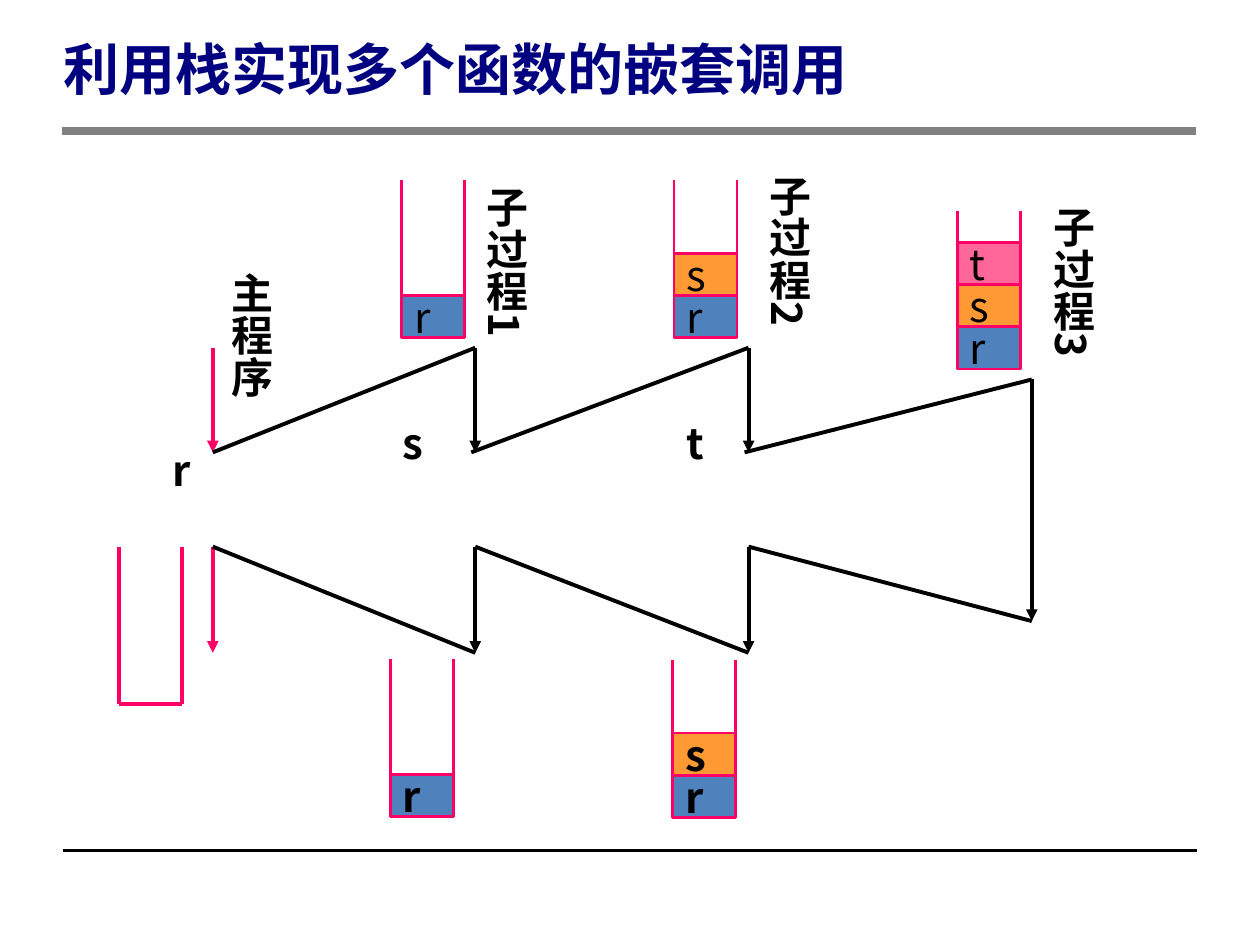
"""Build a slide on nested function calls and the stack of return addresses."""
from lxml import etree
from pptx import Presentation
from pptx.dml.color import RGBColor
from pptx.enum.shapes import MSO_CONNECTOR, MSO_SHAPE
from pptx.enum.text import MSO_ANCHOR, MSO_AUTO_SIZE, PP_ALIGN
from pptx.oxml.ns import qn
from pptx.util import Cm, Pt

STRAIGHT = MSO_CONNECTOR.STRAIGHT
RECTANGLE = MSO_SHAPE.RECTANGLE
MIDDLE, TOP = MSO_ANCHOR.MIDDLE, MSO_ANCHOR.TOP
LEFT = PP_ALIGN.LEFT
FIXED = MSO_AUTO_SIZE.NONE

FONT = "Noto Sans CJK SC"
COLORS = {
    "title": "000080", "ink": "000000", "rule": "808080", "stack": "FF0066",
    "r": "4F81BD", "s": "FF9933", "t": "FF6699",
}


def write(shape, text, color="ink", size=24, bold=True, anchor=TOP, wrap=True, vertical=False):
    frame = shape.text_frame
    frame_format = {
        "auto_size": FIXED, "word_wrap": wrap, "vertical_anchor": anchor,
        "margin_left": Cm(0.25), "margin_right": Cm(0.25),
        "margin_top": Cm(0.13), "margin_bottom": Cm(0.13),
    }
    for name, value in frame_format.items():
        setattr(frame, name, value)
    if vertical:
        frame._txBody.bodyPr.set("vert", "eaVert")
    paragraph = frame.paragraphs[0]
    paragraph.alignment = LEFT
    run = paragraph.add_run()
    run.text = text
    for name, value in {"name": FONT, "size": Pt(size), "bold": bold}.items():
        setattr(run.font, name, value)
    run.font.color.rgb = RGBColor.from_string(COLORS[color])
    etree.SubElement(run._r.get_or_add_rPr(), qn("a:ea"), typeface=FONT)


def draw_line(start, end, color="ink", width=2.25, arrow=False):
    line = slide.shapes.add_connector(STRAIGHT, *map(Cm, start + end))
    line.line.color.rgb = RGBColor.from_string(COLORS[color])
    line.line.width = Pt(width)
    properties = line._element.spPr
    if arrow:
        etree.SubElement(properties.find(qn("a:ln")), qn("a:tailEnd"), type="triangle")
    etree.SubElement(properties, qn("a:effectLst"))


presentation = Presentation()
presentation.slide_width, presentation.slide_height = Cm(25.4), Cm(19.05)
slide = presentation.slides.add_slide(presentation.slide_layouts[5])

title = slide.shapes.title
title_place = {"left": Cm(1.02), "top": Cm(0.51), "width": Cm(16.69), "height": Cm(1.68)}
for name, value in title_place.items():
    setattr(title, name, value)
write(title, "利用栈实现多个函数的嵌套调用", "title", 32, anchor=MIDDLE)
title.text_frame.paragraphs[0].line_spacing = Pt(40)

draw_line((1.27, 17.15), (24.13, 17.15), width=2)
draw_line((1.24, 2.64), (24.1, 2.64), "rule", 5)

main_x, sub1_x, sub2_x, sub3_x = 4.29, 9.58, 15.09, 20.8
call_top, call_bottom, return_top, return_bottom = 7.01, 9.12, 11.02, 13.16
deep_top, deep_bottom = 7.65, 12.52

for x, color in ((main_x, "stack"), (sub1_x, "ink"), (sub2_x, "ink")):
    draw_line((x, call_top), (x, call_bottom), color, arrow=True)
    draw_line((x, return_top), (x, return_bottom), color, arrow=True)
draw_line((sub3_x, deep_top), (sub3_x, deep_bottom), arrow=True)

jumps = [
    (main_x, main_x, sub1_x, call_top, return_bottom),
    (9.5, sub1_x, sub2_x, call_top, return_bottom),
    (15.01, sub2_x, sub3_x, deep_top, deep_bottom),
]
for call_x, return_x, callee_x, entry_y, exit_y in jumps:
    draw_line((call_x, call_bottom), (callee_x, entry_y))
    draw_line((callee_x, exit_y), (return_x, return_top))

stack_width, stack_depth, cell_height = 1.27, 3.18, 0.85
stacks = [
    (2.39, 14.2, "", 2.25, False),
    (8.1, 6.81, "r", 1.5, False),
    (13.59, 6.81, "rs", 1.5, False),
    (19.3, 7.44, "rst", 1.5, False),
    (13.56, 16.48, "rs", 1.5, True),
    (7.87, 16.46, "r", 1.5, True),
]
for left, bottom, addresses, width, bold in stacks:
    right = left + stack_width
    for wall_x in (left, right):
        draw_line((wall_x, bottom), (wall_x, bottom - stack_depth), "stack", width)
    if not addresses:
        draw_line((left, bottom), (right, bottom), "stack", width)
    for level, address in enumerate(addresses, start=1):
        cell = slide.shapes.add_shape(
            RECTANGLE, Cm(left), Cm(bottom - level * cell_height), Cm(stack_width), Cm(cell_height))
        cell.shadow.inherit = False
        cell.fill.solid()
        cell.fill.fore_color.rgb = RGBColor.from_string(COLORS[address])
        cell.line.color.rgb = RGBColor.from_string(COLORS["stack"])
        cell.line.width = Pt(width)
        write(cell, address, bold=bold, anchor=MIDDLE, wrap=False)

labels = [
    ("r", 3.23, 8.84, 0.84, 1.73, False),
    ("s", 7.87, 8.28, 1.47, 1.27, False),
    ("t", 13.59, 8.28, 1.27, 1.27, False),
    ("主程序", 3.25, 5.36, 2.57, 4.04, True),
    ("子过程1", 9.4, 3.63, 1.55, 5.28, True),
    ("子过程2", 15.11, 3.4, 1.55, 4.88, True),
    ("子过程3", 20.83, 4.04, 1.55, 5.08, True),
]
for text, left, top, width, height, vertical in labels:
    label = slide.shapes.add_textbox(Cm(left), Cm(top), Cm(width), Cm(height))
    write(label, text, vertical=vertical)

presentation.save("out.pptx")
